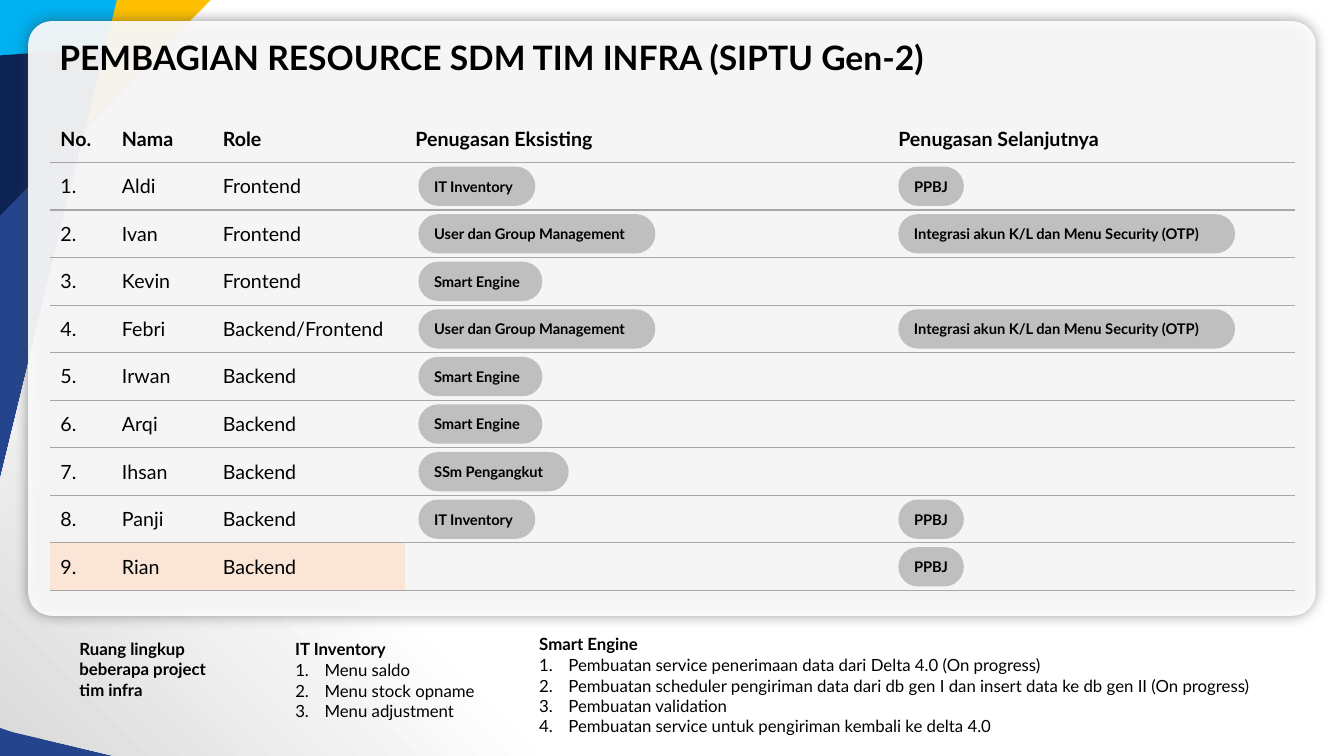
import pptx
import pptx.util
import pptx.dml.color
import pptx.enum.shapes
import pptx.enum.text
import pptx.oxml
import pptx.oxml.ns
from dataclasses import dataclass

SHAPE = pptx.enum.shapes.MSO_SHAPE
MIDDLE = pptx.enum.text.MSO_ANCHOR.MIDDLE
GROW = pptx.enum.text.MSO_AUTO_SIZE.SHAPE_TO_FIT_TEXT
SPACE = pptx.oxml.ns.nsdecls("a")


@dataclass
class Theme:
    font: str = "Lato"
    title: float = 24
    table: float = 14
    note: float = 12
    badge: float = 10.5
    ink: str = "000000"
    white: str = "FFFFFF"
    mist: str = "D9D9D9"
    blue: str = "24458E"
    cyan: str = "00B0F0"
    navy: str = "0D2353"
    gold: str = "FFC000"
    pill: str = "BFBFBF"
    peach: str = "FBE5D6"
    rule: str = "A6A6A6"
    shade: str = "404040"


def unit(count):
    """Length of a number of grid columns or rows, each a tenth of an inch."""
    return pptx.util.Inches(count / 10)


def rgb(code):
    return pptx.dml.color.RGBColor.from_string(code)


def node(text):
    """XML element in the drawing namespace; the tag comes first in text."""
    tag, rest = text[1:].split(">", 1)
    close = tag.split()[0]
    return pptx.oxml.parse_xml(f"<{tag} {SPACE}>{rest}</{close}>")


class Page:
    def __init__(self, deck, theme):
        self.theme = theme
        self.shapes = deck.slides.add_slide(deck.slide_layouts[6]).shapes

    def style(self, frame, size, bold=False):
        for para in frame.paragraphs:
            for run in para.runs:
                run.font.name = self.theme.font
                run.font.size = pptx.util.Pt(size)
                run.font.bold = bold
                run.font.color.rgb = rgb(self.theme.ink)

    def plain(self, shape, color):
        shape.shadow.inherit = False
        shape.line.fill.background()
        shape.fill.solid()
        shape.fill.fore_color.rgb = rgb(color)
        return shape

    def block(self, kind, box, color):
        shape = self.shapes.add_shape(kind, *map(unit, box))
        return self.plain(shape, color)

    def outline(self, points, color):
        spots = [(unit(x), unit(y)) for x, y in points]
        build = self.shapes.build_freeform(*spots[0])
        build.add_line_segments(spots[1:], close=True)
        return self.plain(build.convert_to_shape(), color)

    def fade(self, shape, start, end, stop, angle):
        shape.fill.gradient()
        shape.fill.gradient_angle = angle
        for mark, color, place in zip(shape.fill.gradient_stops, (start, end), (0, stop)):
            mark.color.rgb = rgb(color)
            mark.position = place

    def card(self, box):
        shape = self.block(SHAPE.ROUNDED_RECTANGLE, box, self.theme.white)
        shape.adjustments[0] = 0.04
        props = shape.element.spPr
        color = props.find(".//" + pptx.oxml.ns.qn("a:srgbClr"))
        color.append(node('<a:alpha val="91000">'))
        props.find(pptx.oxml.ns.qn("a:effectLst")).append(node(
            '<a:outerShdw blurRad="127000" dist="0" algn="ctr">'
            f'<a:srgbClr val="{self.theme.shade}"><a:alpha val="60000"/></a:srgbClr>'))

    def text(self, box, words, size, bold=False, listed=False):
        frame = self.shapes.add_textbox(*map(unit, box)).text_frame
        frame.word_wrap = True
        frame.auto_size = GROW
        frame.text = words
        self.style(frame, size, bold)
        if listed:
            for para in frame.paragraphs:
                props = para._p.get_or_add_pPr()
                props.set("marL", str(unit(2.9)))
                props.set("indent", str(-unit(2.9)))
                props.append(node('<a:buFont typeface="+mj-lt">'))
                props.append(node('<a:buAutoNum type="arabicPeriod">'))

    def badge(self, left, top, width, words):
        shape = self.block(SHAPE.ROUNDED_RECTANGLE, (left, top, width, 3.9), self.theme.pill)
        shape.adjustments[0] = 0.5
        frame = shape.text_frame
        frame.word_wrap = True
        frame.margin_right = 0
        frame.vertical_anchor = MIDDLE
        frame.text = words
        frame.paragraphs[0].alignment = pptx.enum.text.PP_ALIGN.LEFT
        self.style(frame, self.theme.badge, True)

    def edge(self, cell, top):
        props = cell._tc.get_or_add_tcPr()
        for side in ("lnL", "lnR", "lnT", "lnB"):
            paint = "<a:noFill/>"
            if side == "lnB" or (side == "lnT" and not top):
                paint = f'<a:solidFill><a:srgbClr val="{self.theme.rule}"/></a:solidFill>'
            props.append(node(f'<a:{side} w="12700">{paint}'))

    def table(self, left, top, widths, step, rows, marked):
        box = (left, top, sum(widths), step * len(rows))
        grid = self.shapes.add_table(len(rows), len(widths), *map(unit, box)).table
        grid.first_row = grid.horz_banding = False
        for col, width in zip(grid.columns, widths):
            col.width = unit(width)
        for r, row in enumerate(rows):
            grid.rows[r].height = unit(step)
            for c in range(len(widths)):
                cell = grid.cell(r, c)
                self.edge(cell, r == 0)
                cell.fill.background()
                cell.vertical_anchor = MIDDLE
                if c < len(row):
                    cell.text_frame.text = row[c]
                    self.style(cell.text_frame, self.theme.table, r == 0)
                    if r == marked:
                        cell.fill.solid()
                        cell.fill.fore_color.rgb = rgb(self.theme.peach)


HEAD = ("No.", "Nama", "Role", "Penugasan Eksisting", "Penugasan Selanjutnya")
# Name, role, current task, next task
TEAM = [
    ("Aldi", "Frontend", "IT Inventory", "PPBJ"),
    ("Ivan", "Frontend", "User dan Group Management",
     "Integrasi akun K/L dan Menu Security (OTP)"),
    ("Kevin", "Frontend", "Smart Engine", ""),
    ("Febri", "Backend/Frontend", "User dan Group Management",
     "Integrasi akun K/L dan Menu Security (OTP)"),
    ("Irwan", "Backend", "Smart Engine", ""),
    ("Arqi", "Backend", "Smart Engine", ""),
    ("Ihsan", "Backend", "SSm Pengangkut", ""),
    ("Panji", "Backend", "IT Inventory", "PPBJ"),
    ("Rian", "Backend", "", "PPBJ"),
]
WIDE = {
    "IT Inventory": 11.6, "User dan Group Management": 23.5, "Smart Engine": 12.3,
    "SSm Pengangkut": 14.9, "PPBJ": 6.5,
    "Integrasi akun K/L dan Menu Security (OTP)": 33.4,
}
STOCK = "Menu saldo\nMenu stock opname\nMenu adjustment"
SMART = """Pembuatan service penerimaan data dari Delta 4.0 (On progress)
Pembuatan scheduler pengiriman data dari db gen I dan insert data ke db gen II (On progress)
Pembuatan validation
Pembuatan service untuk pengiriman kembali ke delta 4.0"""


def main():
    deck = pptx.Presentation()
    deck.slide_width, deck.slide_height = unit(133.3), unit(75)
    look = Theme()
    page = Page(deck, look)

    # Backdrop
    page.block(SHAPE.RECTANGLE, (0, 0, 133.3, 75), look.blue)
    sheet = page.outline([(11.6, 0), (133.3, 0), (133.3, 75), (11.3, 75),
                          (1.2, 72.6), (0, 72.2), (0, 47.6)], look.white)
    page.fade(sheet, look.mist, look.white, 0.27, 45)
    page.block(SHAPE.RECTANGLE, (0, 0, 13.6, 6.4), look.cyan)
    page.outline([(16.7, 4.3), (0, 21.4), (0, 5.5)], look.navy)
    page.outline([(11.6, 0), (20.9, 0), (8.5, 12.6)], look.gold)
    page.card((2.8, 2.1, 127.7, 59))

    # Title and team table
    page.text((4.9, 3.2, 106.7, 5), "PEMBAGIAN RESOURCE SDM TIM INFRA (SIPTU Gen-2)",
              look.title, True)
    top, step = 11.4, 4.72
    rows = [HEAD] + [(f"{i}.", name, role) for i, (name, role, *_) in enumerate(TEAM, 1)]
    page.table(5, top, (6.1, 10, 19.1, 47.9, 40.3), step, rows, len(TEAM))

    # Task badges
    for left, field in ((41.5, 2), (89.1, 3)):
        for i, row in enumerate(TEAM, 1):
            if row[field]:
                page.badge(left, top + step * i + 0.4, WIDE[row[field]], row[field])

    # Project scope
    page.text((6.9, 62.9, 17.3, 7.1), "Ruang lingkup beberapa project tim infra", look.note, True)
    for left, high, width, name, items in ((28.3, 62.9, 26.2, "IT Inventory", STOCK),
                                           (52.5, 62.4, 78, "Smart Engine", SMART)):
        tall = 1.1 + 2 * len(items.split("\n"))
        page.text((left, high + 2.1, width, tall), items, look.note, listed=True)
        page.text((left, high, 17.3, 3), name, look.note, True)

    deck.save("out.pptx")


if __name__ == "__main__":
    main()
